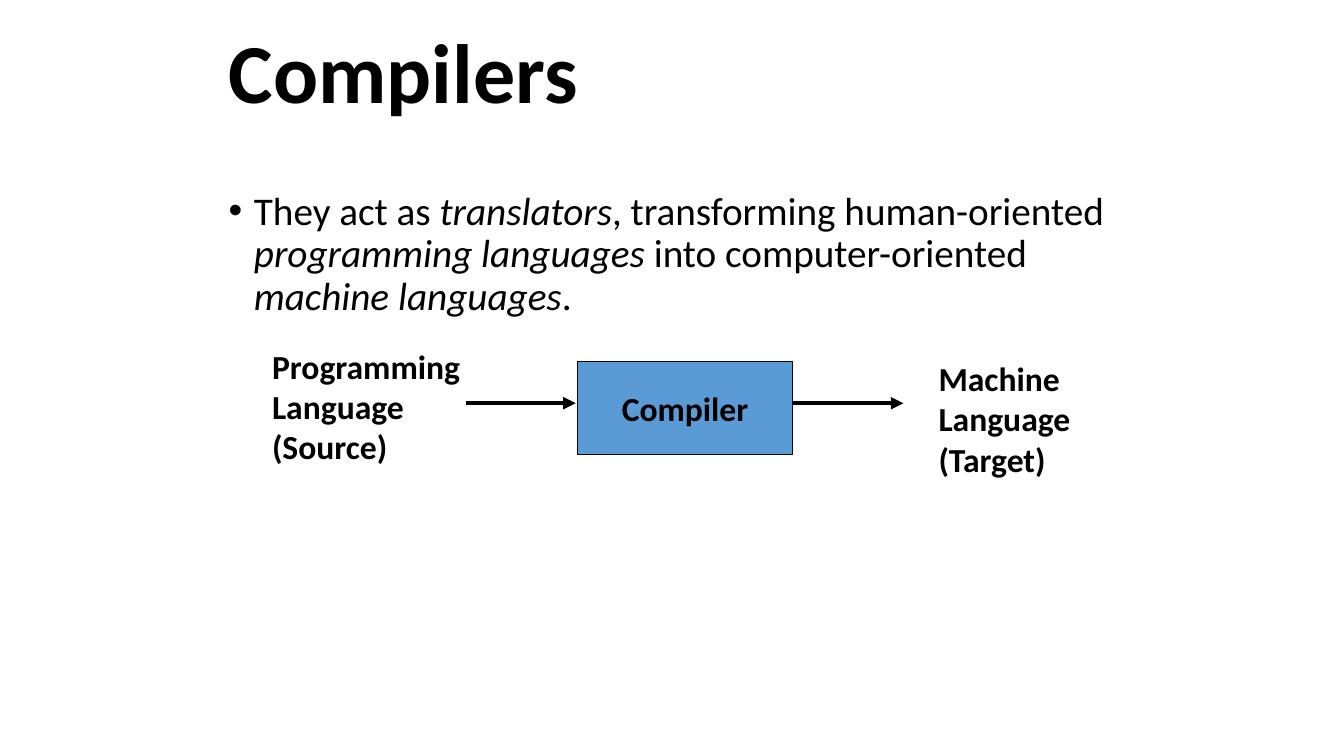
from lxml import etree
from pptx import Presentation
from pptx.dml.color import RGBColor
from pptx.enum.shapes import MSO_CONNECTOR, MSO_SHAPE
from pptx.enum.text import MSO_ANCHOR, MSO_AUTO_SIZE, PP_ALIGN
from pptx.oxml.ns import qn
from pptx.util import Inches, Pt

STRAIGHT = MSO_CONNECTOR.STRAIGHT
RECTANGLE = MSO_SHAPE.RECTANGLE
TOP, MIDDLE = MSO_ANCHOR.TOP, MSO_ANCHOR.MIDDLE
LEFT, CENTER = PP_ALIGN.LEFT, PP_ALIGN.CENTER
NO_FIT = MSO_AUTO_SIZE.NONE
TITLE_ONLY = 5


def color(hex_string):
    return RGBColor.from_string(hex_string)


class SlideBuilder:
    font = "Calibri"
    ink = "000000"
    box_fill = "5B9BD5"

    def __init__(self, slide):
        self.slide = slide

    def style_run(self, run, size, bold=False, italic=False):
        run.font.name = self.font
        run.font.size = Pt(size)
        run.font.bold = bold
        run.font.italic = italic
        run.font.color.rgb = color(self.ink)

    def set_text(self, frame, text, size, align=LEFT, anchor=TOP, wrap=True):
        frame.text = text
        frame.word_wrap = wrap
        frame.auto_size = NO_FIT
        frame.vertical_anchor = anchor
        for paragraph in frame.paragraphs:
            paragraph.alignment = align
            for run in paragraph.runs:
                self.style_run(run, size, bold=True)

    def title(self, text, left, top, width, height):
        heading = self.slide.shapes.title
        heading.left, heading.top = Inches(left), Inches(top)
        heading.width, heading.height = Inches(width), Inches(height)
        self.set_text(heading.text_frame, text, 60, anchor=MIDDLE)
        heading.text_frame.paragraphs[0].line_spacing = 0.9

    def bullet(self, phrases, left, top, width, height, inset_top):
        area = self.slide.shapes.add_textbox(
            Inches(left), Inches(top), Inches(width), Inches(height))
        frame = area.text_frame
        frame.word_wrap = True
        frame.margin_top = Inches(inset_top)
        paragraph = frame.paragraphs[0]
        paragraph.line_spacing = 0.9
        for phrase, italic in phrases:
            run = paragraph.add_run()
            run.text = phrase
            self.style_run(run, 28, italic=italic)
        properties = paragraph._p.get_or_add_pPr()
        properties.set("marL", str(Inches(0.25)))
        properties.set("indent", str(Inches(-0.25)))
        etree.SubElement(properties, qn("a:buFont"), typeface="Arial")
        etree.SubElement(properties, qn("a:buChar"), char="•")

    def label(self, text, left, top, width, height):
        caption = self.slide.shapes.add_textbox(
            Inches(left), Inches(top), Inches(width), Inches(height))
        self.set_text(caption.text_frame, text, 24)

    def box(self, text, left, top, width, height):
        block = self.slide.shapes.add_shape(
            RECTANGLE, Inches(left), Inches(top), Inches(width), Inches(height))
        block.shadow.inherit = False
        block.fill.solid()
        block.fill.fore_color.rgb = color(self.box_fill)
        block.line.color.rgb = color(self.ink)
        block.line.width = Pt(0.75)
        self.set_text(block.text_frame, text, 24, CENTER, MIDDLE, wrap=False)

    def arrow(self, left, y, length):
        flow = self.slide.shapes.add_connector(
            STRAIGHT, Inches(left), Inches(y), Inches(left + length), Inches(y))
        flow.line.color.rgb = color(self.ink)
        flow.line.width = Pt(3)
        properties = flow._element.spPr
        etree.SubElement(properties.find(qn("a:ln")), qn("a:tailEnd"), type="triangle")
        etree.SubElement(properties, qn("a:effectLst"))


presentation = Presentation()
presentation.slide_width = Inches(13.33)
presentation.slide_height = Inches(7.5)
builder = SlideBuilder(
    presentation.slides.add_slide(presentation.slide_layouts[TITLE_ONLY]))

builder.title("Compilers", 2.17, 0.28, 9, 0.95)
builder.bullet([
    ("They act as ", False),
    ("translators", True),
    (", transforming human-oriented ", False),
    ("programming languages", True),
    (" into computer-oriented ", False),
    ("machine languages", True),
    (".", False),
], 2.17, 1.23, 9, 3.88, inset_top=0.67)

builder.label("Programming\nLanguage\n(Source)", 2.6, 3.38, 2.16, 1.31)
builder.box("Compiler", 5.73, 3.59, 2.13, 0.92)
builder.label("Machine\nLanguage\n(Target)", 9.21, 3.5, 1.52, 1.31)
for arrow_start in (4.62, 7.87):
    builder.arrow(arrow_start, 4, 1.09)

presentation.save("out.pptx")
